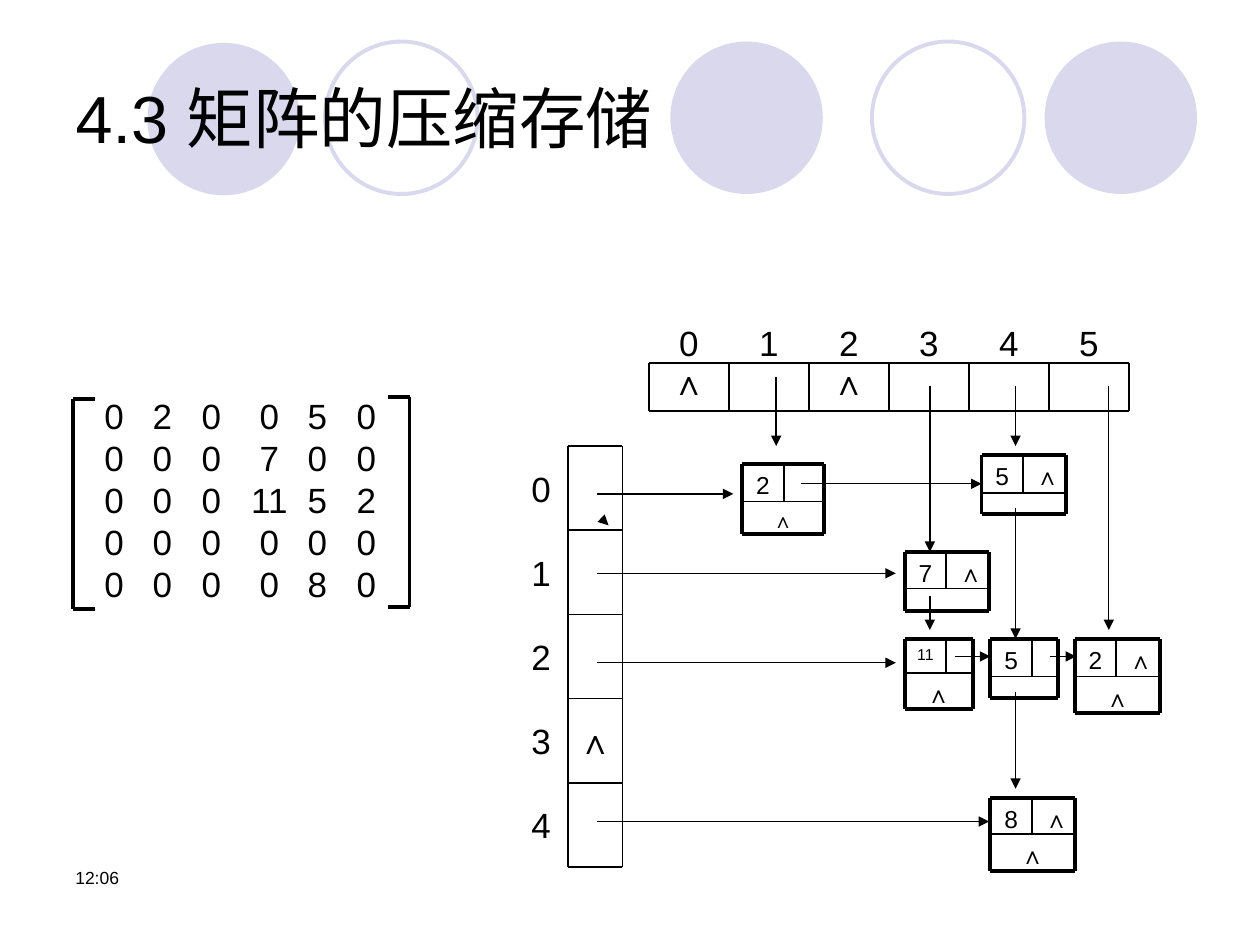
from lxml.etree import SubElement
from pptx import Presentation
from pptx.dml.color import RGBColor
from pptx.enum.shapes import MSO_CONNECTOR, MSO_SHAPE
from pptx.enum.text import MSO_ANCHOR, PP_ALIGN
from pptx.oxml.ns import qn
from pptx.util import Inches, Pt

COLORS = {"ink": "000000", "circle": "D9D8EC"}
FONTS = {"latin": "Arial", "asian": "Noto Sans CJK SC"}
COLUMNS, ROWS = 100, 75
THICK, MEDIUM, THIN = 2.25, 1, 0.75
NIL = "∧"


def apply(target, values):
    """Set every attribute named in a dict of format values."""
    for name, value in values.items():
        setattr(target, name, value)


def color(name):
    """Return the named colour."""
    return RGBColor.from_string(COLORS[name])


class Board:
    """Holds the style and the current slide; lengths are grid columns and rows."""

    def __init__(self, presentation):
        """Add a title-only slide and work out the grid cell."""
        self.slide = presentation.slides.add_slide(presentation.slide_layouts[5])
        self.shapes = self.slide.shapes
        self.column = presentation.slide_width / COLUMNS
        self.row = presentation.slide_height / ROWS

    def place(self, left, top, width, height):
        """Turn grid lengths into slide lengths."""
        return (round(left * self.column), round(top * self.row),
                round(width * self.column), round(height * self.row))

    def circle(self, left, top, filled):
        """Draw a decorative circle, either filled or outlined."""
        shape = self.shapes.add_shape(MSO_SHAPE.OVAL, *self.place(left, top, 12.1, 12.1))
        shape.shadow.inherit = False
        if filled:
            shape.fill.solid()
            shape.fill.fore_color.rgb = color("circle")
            shape.line.fill.background()
        else:
            shape.fill.background()
            shape.line.color.rgb = color("circle")
            shape.line.width = Pt(THICK)

    def style(self, run, size):
        """Give a run its fonts, size and colour."""
        apply(run.font, {"name": FONTS["latin"], "size": Pt(size)})
        run.font.color.rgb = color("ink")
        SubElement(run.font._element, qn("a:ea")).set("typeface", FONTS["asian"])

    def title(self, parts, box, size):
        """Move and format the title placeholder, in front of the circles."""
        shape = self.shapes.title
        apply(shape, dict(zip(("left", "top", "width", "height"), self.place(*box))))
        self.shapes._spTree.append(shape._element)
        shape.text_frame.vertical_anchor = MSO_ANCHOR.MIDDLE
        paragraph = shape.text_frame.paragraphs[0]
        paragraph.alignment = PP_ALIGN.LEFT
        for part in parts:
            run = paragraph.add_run()
            run.text = part
            self.style(run, size)

    def text(self, lines, box, size, align=PP_ALIGN.CENTER, anchor=MSO_ANCHOR.TOP,
             tabs=(), **spacing):
        """Add a text box with one paragraph per line and centred tab stops."""
        frame = self.shapes.add_textbox(*self.place(*box)).text_frame
        side = Inches(0.02 if align == PP_ALIGN.CENTER else 0.1)
        apply(frame, {"word_wrap": True, "vertical_anchor": anchor,
                      "margin_left": side, "margin_right": side})
        for index, line in enumerate(lines):
            paragraph = frame.add_paragraph() if index else frame.paragraphs[0]
            apply(paragraph, {"alignment": align, **spacing})
            run = paragraph.add_run()
            run.text = line
            self.style(run, size)
            if tabs:
                stops = SubElement(paragraph._p.get_or_add_pPr(), qn("a:tabLst"))
                for tab in tabs:
                    stop = SubElement(stops, qn("a:tab"))
                    stop.set("pos", str(round(tab * self.column)))
                    stop.set("algn", "ctr")

    def label(self, value, box, size=20, **options):
        """Add a one-line label with a little space above it."""
        self.text([value], box, size, space_before=Pt(2), **options)

    def line(self, x1, y1, x2, y2, width=MEDIUM, arrow=False):
        """Draw a straight line, with an arrowhead at its end if asked."""
        connector = self.shapes.add_connector(
            MSO_CONNECTOR.STRAIGHT, *self.place(x1, y1, x2, y2))
        connector.line.color.rgb = color("ink")
        connector.line.width = Pt(width)
        if arrow:
            SubElement(connector.line._get_or_add_ln(), qn("a:tailEnd")).set("type", "triangle")
        SubElement(connector._element.spPr, qn("a:effectLst"))

    def bracket(self, x, top, bottom, tip):
        """Draw a square bracket whose ends reach to tip."""
        self.line(x, top, x, bottom, THICK)
        for y in (top, bottom):
            self.line(x, y, tip, y, THICK)

    def grid(self, left, top, width, height, columns=1, rows=1):
        """Draw the ruled cells of a pointer array."""
        for index in range(columns + 1):
            x = left + index * width / columns
            self.line(x, top, x, top + height)
        for index in range(rows + 1):
            y = top + index * height / rows
            self.line(left, y, left + width, y)

    def node(self, value, left, top, width, upper, lower, right="", down="",
             size=14, down_size=14):
        """Draw a list node: value, right pointer and down pointer."""
        split, middle = left + 3.3, top + upper
        end, bottom = left + width, top + upper + lower
        self.label(value, (left, top, 3.3, upper), size)
        if right:
            self.label(right, (split, top, end - split, upper), align=PP_ALIGN.LEFT, size=14)
        if down:
            self.label(down, (left, middle, width, lower), down_size)
        self.line(left, middle, end, middle)
        self.line(split, top, split, middle)
        for y in (top, bottom):
            self.line(left, y, end, y, THICK)
        for x in (left, end):
            self.line(x, top, x, bottom, THICK)


presentation = Presentation()
presentation.slide_width, presentation.slide_height = Inches(10), Inches(7.5)
board = Board(presentation)

for left, top, filled in ((53.2, 3.3, True), (82.9, 3.3, True), (11.7, 3.4, True),
                          (69.2, 3.3, False), (25.8, 3.3, False)):
    board.circle(left, top, filled)
board.title(("4.3 ", "矩阵的压缩存储"), (5, 3, 90, 12.5), 38)

board.bracket(32.5, 31.5, 48.2, 30.8)
board.bracket(5.8, 31.7, 48.3, 7.5)
matrix = ((0, 2, 0, 0, 5, 0), (0, 0, 0, 7, 0, 0), (0, 0, 0, 11, 5, 2),
          (0, 0, 0, 0, 0, 0), (0, 0, 0, 0, 8, 0))
board.text(["\t".join(map(str, values)) for values in matrix], (7.3, 30.8, 24.3, 17.7), 20,
           align=PP_ALIGN.LEFT, tabs=(4.6, 8.5, 13.1, 16.9, 20.8), line_spacing=Pt(24))

head_left, head_top, head_step = 51.5, 28.8, 6.35
for index in range(6):
    x = head_left + index * head_step
    board.label(str(index), (x, 25, head_step, 3.8))
    if index in (0, 2):
        board.label(NIL, (x, 28.1, head_step, 3.8))
board.grid(head_left, head_top, 6 * head_step, 3.8, columns=6)

side_left, side_top, side_step = 45.1, 35.4, 6.68
for index in range(5):
    y = side_top + index * side_step
    board.label(str(index), (40.8, y, 4.3, side_step), anchor=MSO_ANCHOR.MIDDLE)
    if index == 3:
        board.label(NIL, (side_left, y, 4.3, side_step), anchor=MSO_ANCHOR.MIDDLE)
board.grid(side_left, side_top, 4.3, 5 * side_step, rows=5)

board.node("2", 58.9, 36.8, 6.5, 3, 2.6, down=NIL, down_size=12)
board.node("5", 77.9, 36.1, 6.7, 3, 1.7, right=NIL)
board.node("7", 71.8, 43.8, 6.7, 2.9, 1.8, right=NIL)
board.node("11", 71.8, 50.7, 5.4, 2.7, 2.9, down=NIL, size=9)
board.node("2", 85.3, 50.7, 6.8, 3, 2.9, right=NIL, down=NIL)
board.node("8", 78.6, 63.3, 6.7, 2.9, 2.9, right=NIL, down=NIL)
board.node("5", 78.6, 50.7, 5.4, 3, 1.7)

for x, start, end in ((61.6, 29.9, 35.4), (80.6, 30.6, 35.4), (80.6, 40.3, 50.7),
                      (80.6, 54.9, 62.6), (88, 30.6, 50), (73.8, 30.6, 43.8),
                      (73.8, 47.3, 50)):
    board.line(x, start, x, end, THIN, arrow=True)
for y, start, end in ((39.2, 47.4, 58.2), (45.5, 47.4, 71.1), (52.1, 75.8, 78.6),
                      (52.1, 83.3, 85.4), (52.6, 47.4, 71.1), (65.2, 47.4, 78.5),
                      (38.4, 63.6, 77.9)):
    board.line(start, y, end, y, THIN, arrow=True)
board.line(48.2, 41.6, 48.3, 41.7, THIN, arrow=True)

board.text(["12:06"], (5, 68.3, 23.3, 5), 10, align=PP_ALIGN.LEFT)
presentation.save("out.pptx")
